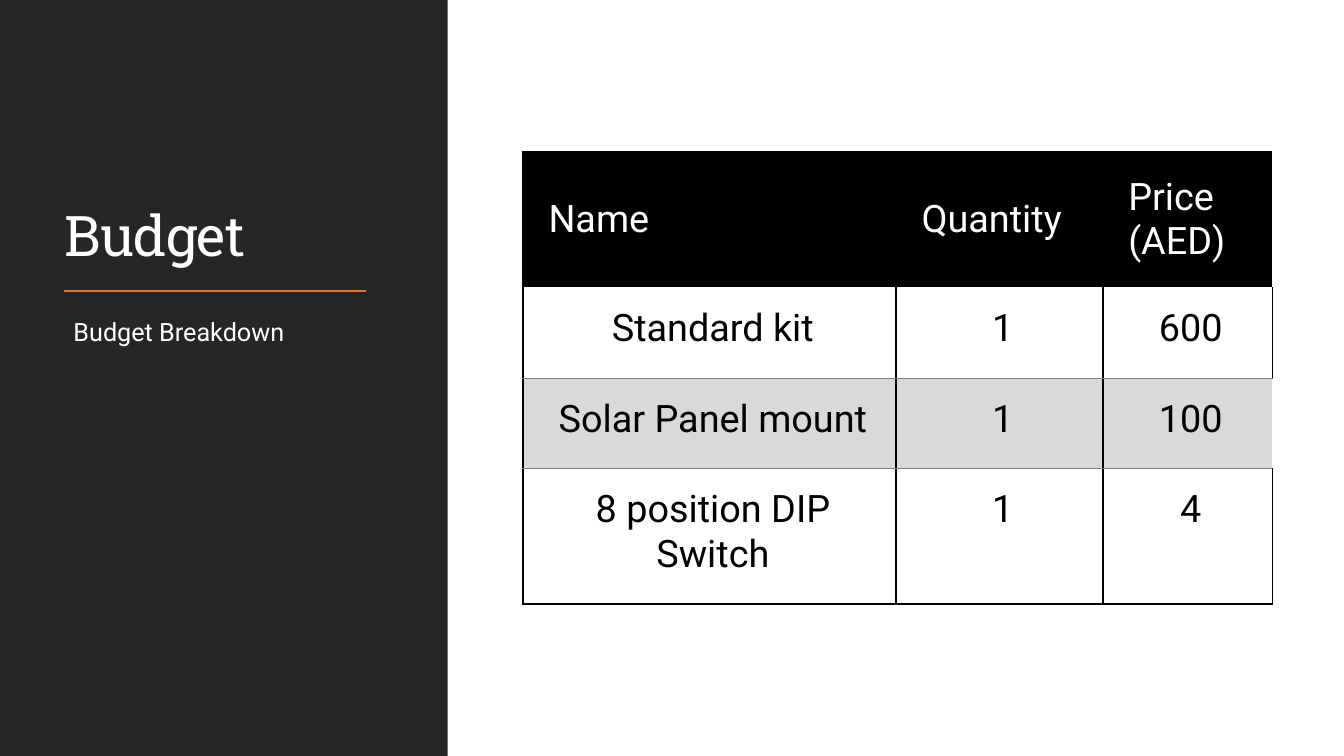
from lxml import etree
from pptx import Presentation
from pptx.dml.color import RGBColor
from pptx.enum.shapes import MSO_CONNECTOR, MSO_SHAPE
from pptx.enum.text import MSO_ANCHOR, MSO_AUTO_SIZE, PP_ALIGN
from pptx.oxml.ns import qn
from pptx.util import Emu, Pt

LEFT, CENTER = PP_ALIGN.LEFT, PP_ALIGN.CENTER
TOP, MIDDLE, BOTTOM = MSO_ANCHOR.TOP, MSO_ANCHOR.MIDDLE, MSO_ANCHOR.BOTTOM

EMU_PER_PX = 9144  # 100 px to the inch
TITLE_ONLY = 5
NO_STYLE = "{2D5ABB26-0587-4C30-8999-92F81FD0307C}"
HEADING_FONT, BODY_FONT = "Roboto Slab", "Roboto"

BLACK = RGBColor(0x00, 0x00, 0x00)
WHITE = RGBColor(0xFF, 0xFF, 0xFF)
CHARCOAL = RGBColor(0x26, 0x26, 0x26)
ORANGE = RGBColor(0xEC, 0x70, 0x16)
GRAY = RGBColor(0x80, 0x80, 0x80)
LIGHT_GRAY = RGBColor(0xD9, 0xD9, 0xD9)

COLUMN_WIDTHS = [370, 205, 168]
ROW_HEIGHTS = [134, 90, 90, 134]
BUDGET = [
    ["Name", "Quantity", "Price (AED)"],
    ["Standard kit", "1", "600"],
    ["Solar Panel mount", "1", "100"],
    ["8 position DIP Switch", "1", "4"],
]
ROW_FILLS = [BLACK, None, LIGHT_GRAY, None]
THICK, THIN = (BLACK, 1.5), (GRAY, 0.5)


def px(length):
    return Emu(length * EMU_PER_PX)


def format_paragraph(paragraph, font_name, size, color, align=LEFT):
    paragraph.alignment = align
    paragraph.font.name = font_name
    paragraph.font.size = Pt(size)
    paragraph.font.color.rgb = color


def add_panel(slide, left, top, width, height, color):
    panel = slide.shapes.add_shape(
        MSO_SHAPE.RECTANGLE, px(left), px(top), px(width), px(height))
    panel.shadow.inherit = False
    panel.fill.solid()
    panel.fill.fore_color.rgb = color
    panel.line.fill.background()


def place_title(slide, text, left, top, width, height):
    title = slide.shapes.title
    title.left, title.top = px(left), px(top)
    title.width, title.height = px(width), px(height)
    frame = title.text_frame
    frame.text = text
    frame.word_wrap = True
    frame.auto_size = MSO_AUTO_SIZE.NONE
    frame.vertical_anchor = BOTTOM
    paragraph = frame.paragraphs[0]
    paragraph.line_spacing = 0.9
    format_paragraph(paragraph, HEADING_FONT, 40, WHITE)
    paragraph.runs[0].font._element.set("spc", "-50")


def add_rule(slide, left, y, right):
    rule = slide.shapes.add_connector(
        MSO_CONNECTOR.STRAIGHT, px(left), px(y), px(right), px(y))
    rule.line.color.rgb = ORANGE
    rule.line.width = Pt(1.5)
    etree.SubElement(rule.element.spPr, qn("a:effectLst"))


def add_subtitle(slide, text, left, top, width, height):
    subtitle = slide.shapes.add_textbox(
        px(left), px(top), px(width), px(height))
    frame = subtitle.text_frame
    frame.word_wrap = True
    frame.margin_left, frame.margin_right = px(10), 0
    frame.margin_top = frame.margin_bottom = px(5)
    frame.text = text
    paragraph = frame.paragraphs[0]
    paragraph.line_spacing = 1.1
    paragraph.space_before, paragraph.space_after = Pt(12), Pt(2)
    format_paragraph(paragraph, BODY_FONT, 18, WHITE)


def cell_borders(row, column):
    """Return the drawn edges of a cell, in the order the schema asks for."""
    last_row, last_column = len(BUDGET) - 1, len(COLUMN_WIDTHS) - 1
    banded = ROW_FILLS[row] == LIGHT_GRAY
    borders = {}
    if row > 0 or column == 0:
        borders["L"] = THICK
    if row > 0 and not (banded and column == last_column):
        borders["R"] = THICK
    if row == 0:
        borders["T"] = THICK
    elif banded:
        borders["T"] = THIN
    if row == 1:
        borders["B"] = THIN
    elif row == last_row:
        borders["B"] = THICK
    return borders


def draw_borders(cell, borders):
    properties = cell._tc.get_or_add_tcPr()
    for side, (color, width) in borders.items():
        edge = etree.SubElement(
            properties, qn(f"a:ln{side}"), w=str(Pt(width)))
        fill = etree.SubElement(edge, qn("a:solidFill"))
        etree.SubElement(fill, qn("a:srgbClr"), val=str(color))


def format_cell(cell, text, row, column):
    is_header = row == 0
    cell.text = text
    cell.margin_left = px(25)
    cell.margin_right = cell.margin_top = cell.margin_bottom = px(19)
    cell.vertical_anchor = MIDDLE if is_header else TOP
    format_paragraph(cell.text_frame.paragraphs[0], BODY_FONT, 27,
                     WHITE if is_header else BLACK,
                     LEFT if is_header else CENTER)
    draw_borders(cell, cell_borders(row, column))
    if ROW_FILLS[row] is None:
        cell.fill.background()
    else:
        cell.fill.solid()
        cell.fill.fore_color.rgb = ROW_FILLS[row]


def add_budget_table(slide, left, top):
    frame = slide.shapes.add_table(
        len(BUDGET), len(COLUMN_WIDTHS), px(left), px(top),
        px(sum(COLUMN_WIDTHS)), px(sum(ROW_HEIGHTS)))
    frame.element.find(f".//{qn('a:tableStyleId')}").text = NO_STYLE
    table = frame.table
    table.horz_banding = False
    for column, width in zip(table.columns, COLUMN_WIDTHS):
        column.width = px(width)
    for row, height in zip(table.rows, ROW_HEIGHTS):
        row.height = px(height)
    for row, entries in enumerate(BUDGET):
        for column, text in enumerate(entries):
            format_cell(table.cell(row, column), text, row, column)


def main():
    presentation = Presentation()
    presentation.slide_width, presentation.slide_height = px(1333), px(750)
    slide = presentation.slides.add_slide(
        presentation.slide_layouts[TITLE_ONLY])
    add_panel(slide, 0, 0, 444, 750, CHARCOAL)
    place_title(slide, "Budget", 54, 57, 337, 214)
    # The panel must lie behind the title placeholder.
    slide.shapes._spTree.append(slide.shapes.title.element)
    add_rule(slide, 63, 289, 363)
    add_subtitle(slide, "Budget Breakdown", 63, 306, 329, 349)
    add_budget_table(slide, 519, 151)
    presentation.save("out.pptx")


if __name__ == "__main__":
    main()
